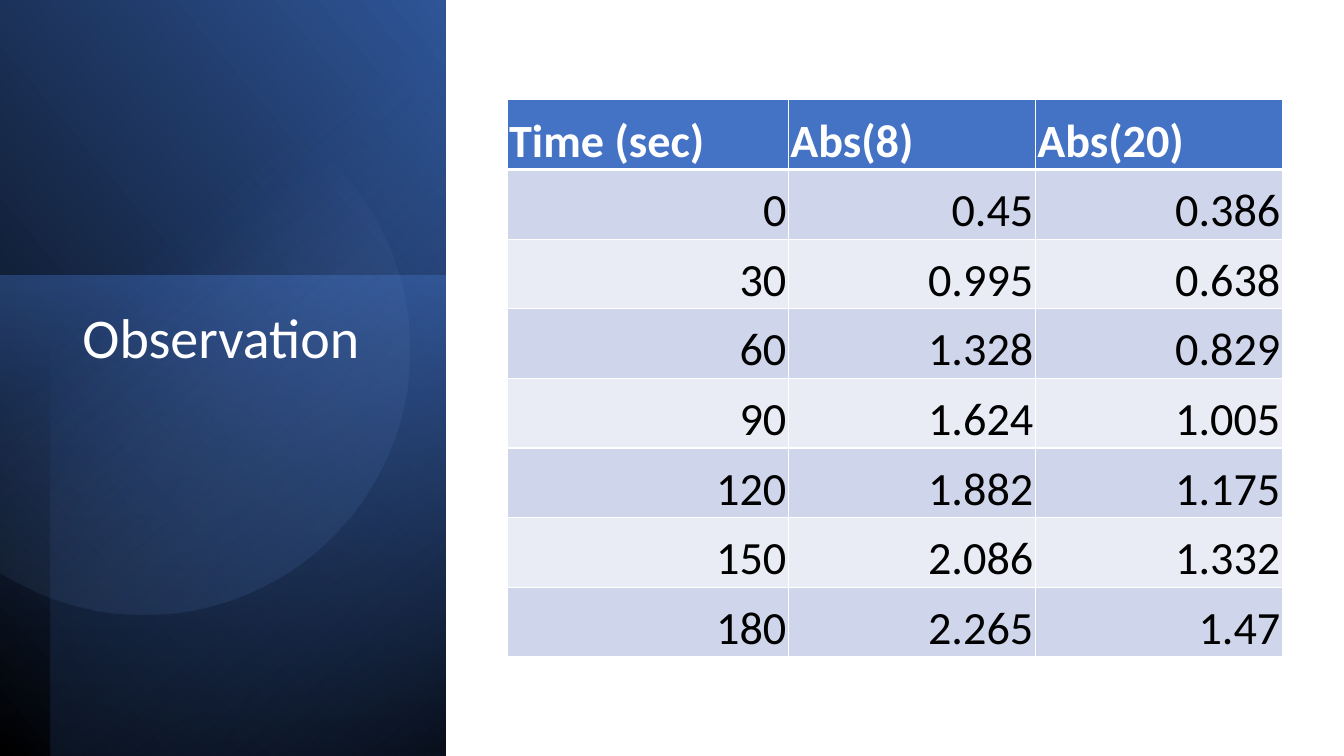
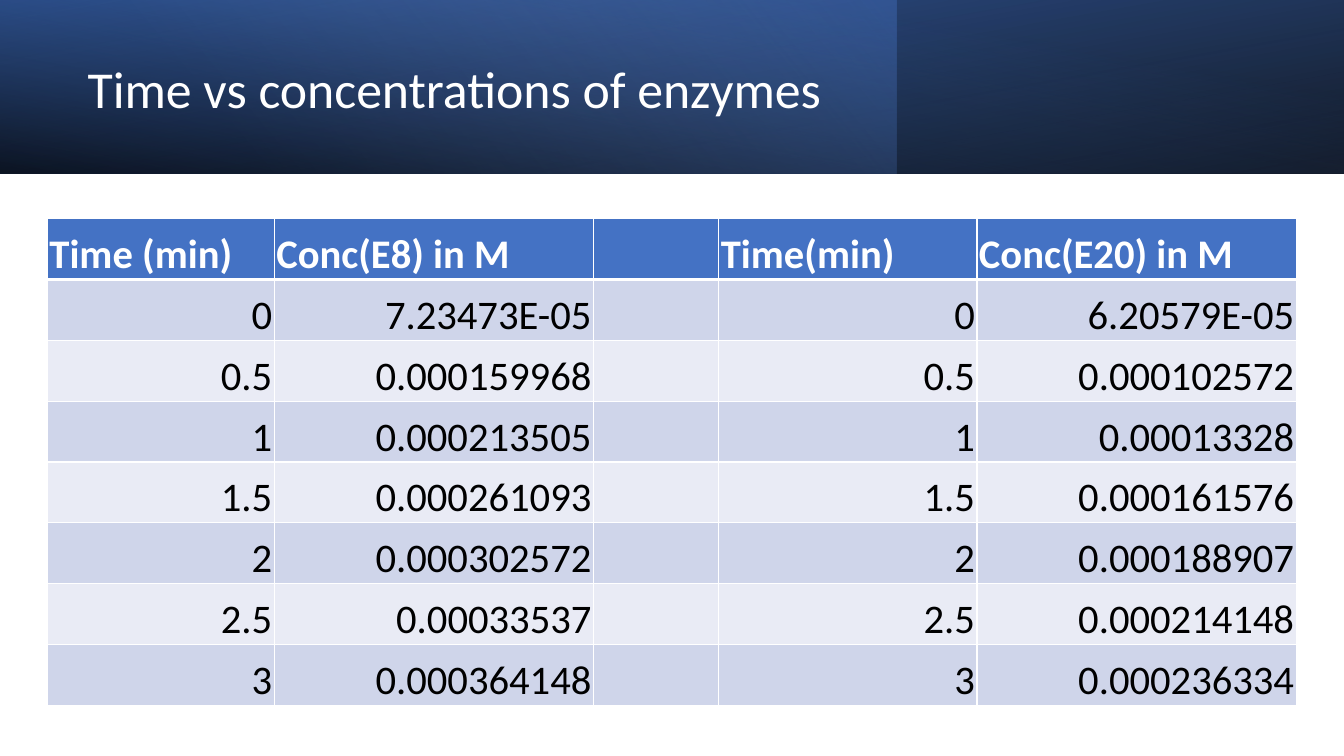
import math

import lxml.etree
import pptx
import pptx.dml.color
import pptx.enum.shapes
import pptx.enum.text
import pptx.oxml
import pptx.oxml.ns
import pptx.util


class Theme:
    font = "Calibri"
    white, black = "FFFFFF", "000000"
    blue, deep, navy, pale = "4472C4", "2F5597", "203864", "8FAADC"
    stripes = ("CFD5EA", "E9EBF5")
    rule, header_rule = 1, 3
    observation_title, concentration_title = 40, 37
    observation_body, concentration_body = 33, 29


deck = pptx.Presentation()
deck.slide_width = pptx.util.Inches(13.33)
deck.slide_height = pptx.util.Inches(7.5)
qn = pptx.oxml.ns.qn
rgb = pptx.dml.color.RGBColor.from_string


def place(left, top, width, height):
    across, down = deck.slide_width / 100, deck.slide_height / 100
    return [round(v) for v in (left * across, top * down, width * across, height * down)]


def paint(shape, stops, angle):
    shape.shadow.inherit = False
    shape.line.fill.background()
    shape.fill.gradient()
    gradient = shape._element.spPr.find(qn("a:gradFill"))
    for child in list(gradient):
        gradient.remove(child)
    stop_list = lxml.etree.SubElement(gradient, qn("a:gsLst"))
    for position, color, opacity in stops:
        stop = lxml.etree.SubElement(stop_list, qn("a:gs"), pos=str(position * 1000))
        tint = lxml.etree.SubElement(stop, qn("a:srgbClr"), val=color)
        lxml.etree.SubElement(tint, qn("a:alpha"), val=str(opacity * 1000))
    lxml.etree.SubElement(gradient, qn("a:lin"), ang=str(round(angle * 60000)), scaled="0")


blank = deck.slide_layouts[6]
observation = deck.slides.add_slide(blank)
concentration = deck.slides.add_slide(blank)

panel, header = 33.16, 22.93
bands = [
    (observation, (0, 0, panel, 100), 90, True, 310,
     [(0, Theme.black, 100), (100, Theme.deep, 100)]),
    (observation, (0, 36.5, panel, 63.5), 270, False, 190,
     [(0, Theme.blue, 50), (100, Theme.navy, 0)]),
    (observation, (3.75, 0, panel - 3.75, 100), 270, True, 220,
     [(0, Theme.black, 59), (69, Theme.blue, 0)]),
    (concentration, (0, 0, 100, header), 180, True, 100,
     [(0, Theme.black, 96), (100, Theme.deep, 100)]),
    (concentration, (0, 0, 66.67, header), 0, False, 140,
     [(0, Theme.blue, 41), (74, Theme.pale, 0)]),
    (concentration, (0, 0, 100, header), 0, True, 260,
     [(0, Theme.black, 63), (78, Theme.blue, 15)]),
]
for slide, area, turn, mirrored, angle, stops in bands:
    left, top, width, height = place(*area)
    if turn in (90, 270):
        left, top = left + (width - height) // 2, top + (height - width) // 2
        width, height = height, width
    band = slide.shapes.add_shape(
        pptx.enum.shapes.MSO_SHAPE.RECTANGLE, left, top, width, height)
    band.rotation = turn
    if mirrored:
        band._element.spPr.xfrm.set("flipH", "1")
    paint(band, stops, angle)

center_x, center_y, radius = pptx.util.Inches(1.43), pptx.util.Inches(3.47), pptx.util.Inches(2.63)
cut = math.acos(-center_x / radius)
steps = 120
rim = []
for step in range(steps + 1):
    turn = cut * (2 * step / steps - 1)
    rim.append((round(center_x + radius * math.cos(turn)),
                round(center_y + radius * math.sin(turn))))
outline = observation.shapes.build_freeform(*rim[0])
outline.add_line_segments(rim[1:], close=True)
paint(outline.convert_to_shape(), [(39, Theme.pale, 0), (100, Theme.deep, 26)], 51.6)

absorbance_rows = [
    ("Time (sec)", "Abs(8)", "Abs(20)"),
    ("0", "0.45", "0.386"),
    ("30", "0.995", "0.638"),
    ("60", "1.328", "0.829"),
    ("90", "1.624", "1.005"),
    ("120", "1.882", "1.175"),
    ("150", "2.086", "1.332"),
    ("180", "2.265", "1.47"),
]
concentration_rows = [
    ("Time (min)", "Conc(E8) in M", "", "Time(min)", "Conc(E20) in M"),
    ("0", "7.23473E-05", "", "0", "6.20579E-05"),
    ("0.5", "0.000159968", "", "0.5", "0.000102572"),
    ("1", "0.000213505", "", "1", "0.00013328"),
    ("1.5", "0.000261093", "", "1.5", "0.000161576"),
    ("2", "0.000302572", "", "2", "0.000188907"),
    ("2.5", "0.00033537", "", "2.5", "0.000214148"),
    ("3", "0.000364148", "", "3", "0.000236334"),
]
anchors = pptx.enum.text.MSO_ANCHOR
contents = [
    (observation, "Observation", (5.4, 40.4, 23.63, 44.8), anchors.TOP,
     Theme.observation_title, absorbance_rows, (37.73, 13.2, 57.69, 73.73),
     (2.79, 2.45, 2.45), Theme.observation_body),
    (concentration, "Time vs concentrations of enzymes", (5.78, 3.6, 57.91, 16.93),
     anchors.MIDDLE, Theme.concentration_title, concentration_rows,
     (3.53, 28.93, 92.95, 64.4), (2.25, 3.17, 1.24, 2.56, 3.17),
     Theme.concentration_body),
]
for slide, heading, heading_area, anchor, heading_size, rows, area, weights, size in contents:
    title = slide.shapes.add_textbox(*place(*heading_area)).text_frame
    title.word_wrap = True
    title.vertical_anchor = anchor
    title.paragraphs[0].line_spacing = 0.9
    words = title.paragraphs[0].add_run()
    words.text = heading
    words.font.name = Theme.font
    words.font.size = pptx.util.Pt(heading_size)
    words.font.color.rgb = rgb(Theme.white)

    left, top, width, height = place(*area)
    readings = slide.shapes.add_table(
        len(rows), len(weights), left, top, width, height).table
    for column, weight in zip(readings.columns, weights):
        column.width = round(width * weight / sum(weights))
    for r, row in enumerate(rows):
        readings.rows[r].height = height // len(rows)
        is_header = r == 0
        for c, value in enumerate(row):
            cell = readings.cell(r, c)
            cell.margin_left = cell.margin_right = cell.margin_top = pptx.util.Inches(0.02)
            cell.margin_bottom = 0
            cell.vertical_anchor = anchors.BOTTOM
            cell.fill.solid()
            cell.fill.fore_color.rgb = rgb(
                Theme.blue if is_header else Theme.stripes[(r - 1) % 2])
            properties = cell._tc.get_or_add_tcPr()
            for order, side in enumerate(("lnL", "lnR", "lnT", "lnB")):
                meets_header = (is_header and side == "lnB") or (r == 1 and side == "lnT")
                weight = Theme.header_rule if meets_header else Theme.rule
                edge = lxml.etree.Element(qn("a:" + side), w=str(pptx.util.Pt(weight)))
                ink = lxml.etree.SubElement(edge, qn("a:solidFill"))
                lxml.etree.SubElement(ink, qn("a:srgbClr"), val=Theme.white)
                properties.insert(order, edge)
            if not value:
                continue
            paragraph = cell.text_frame.paragraphs[0]
            if not is_header:
                paragraph.alignment = pptx.enum.text.PP_ALIGN.RIGHT
            entry = paragraph.add_run()
            entry.text = value
            entry.font.name = Theme.font
            entry.font.size = pptx.util.Pt(size)
            entry.font.bold = is_header
            entry.font.color.rgb = rgb(Theme.white if is_header else Theme.black)

deck.save("out.pptx")
